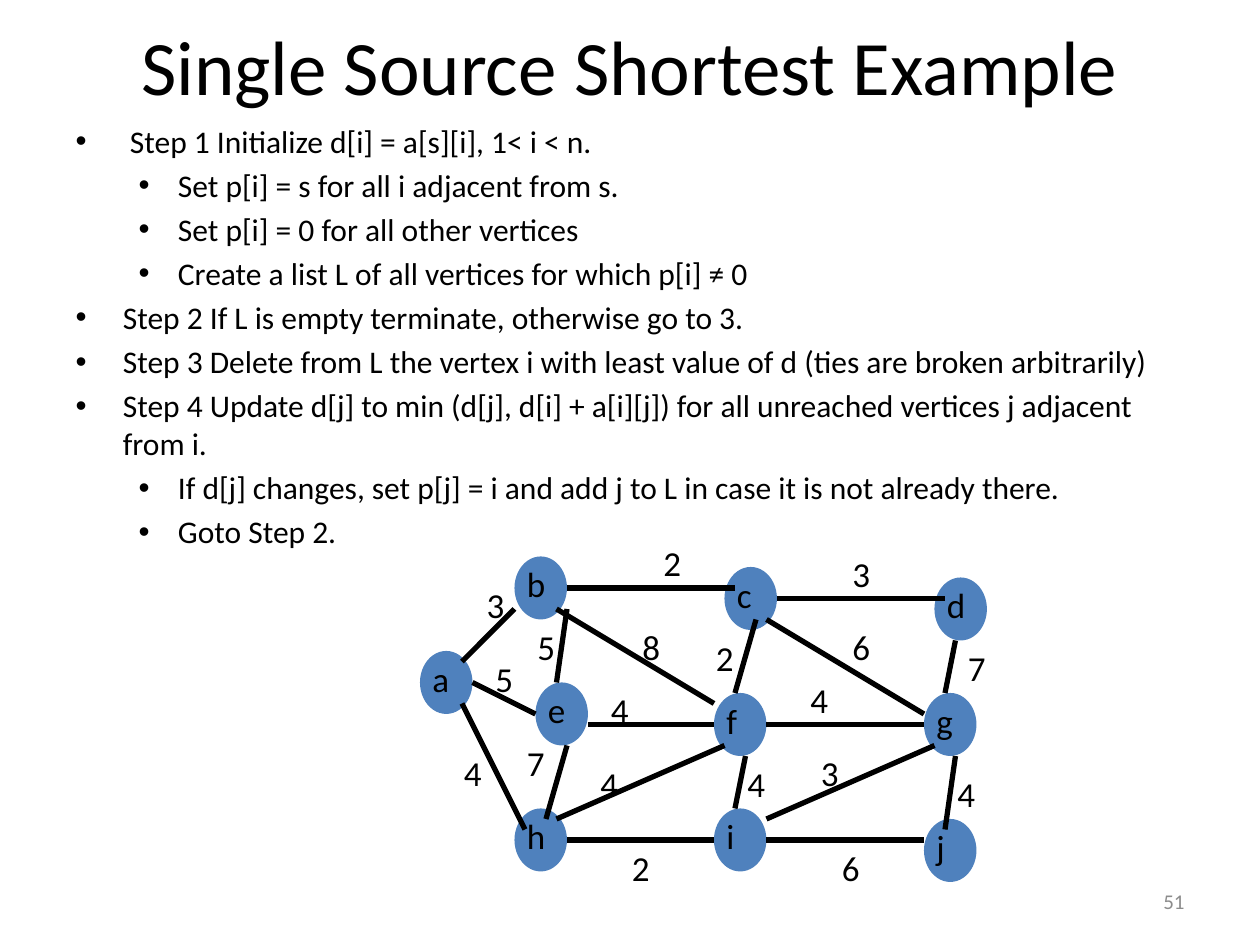
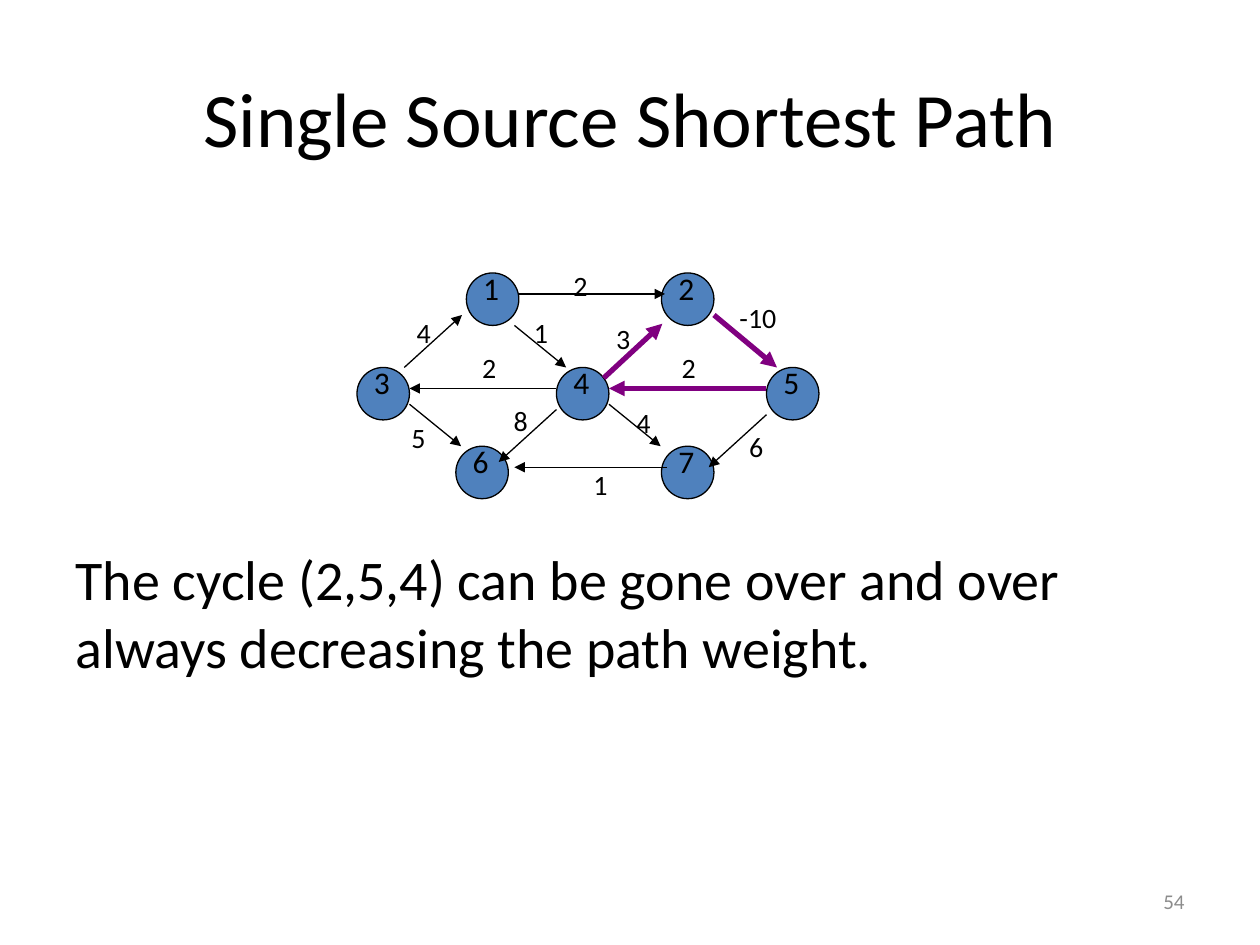
from dataclasses import dataclass
from typing import Any, NamedTuple

import pptx
import pptx.dml.color
import pptx.enum.shapes
import pptx.enum.text
import pptx.oxml
import pptx.oxml.ns
import pptx.util

Pt = pptx.util.Pt
RGB = pptx.dml.color.RGBColor


@dataclass(frozen=True)
class Theme:
    font: str = "Calibri"
    ink: RGB = RGB(0x00, 0x00, 0x00)
    node: RGB = RGB(0x4F, 0x81, 0xBD)
    cycle: RGB = RGB(0x80, 0x00, 0x80)
    page_number: RGB = RGB(0x8C, 0x8C, 0x8C)
    title_size: float = 44
    statement_size: float = 32
    step_size: float = 18
    page_number_size: float = 12
    thin: float = 0.75
    thick: float = 3


THEME = Theme()


class Frame(NamedTuple):
    left: float
    top: float
    width: float
    height: float


class Node(NamedTuple):
    name: str
    left: float
    top: float
    name_width: float


class Edge(NamedTuple):
    x1: float
    y1: float
    x2: float
    y2: float
    weight: str
    weight_left: float
    weight_top: float
    in_cycle: bool = False


class Step(NamedTuple):
    text: str
    level: int = 0


class StepIndent(NamedTuple):
    left: float
    hanging: float


@dataclass(frozen=True)
class GraphStyle:
    node_width: float
    node_height: float
    outlined: bool
    name_size: float
    name_dx: float
    name_dy: float
    name_height: float
    weight_size: float
    weight_width: float
    weight_height: float
    edge_width: float
    directed: bool


STEP_INDENTS = (StepIndent(27, 27), StepIndent(58.5, 22.5))
PAGE_NUMBER_FRAME = Frame(516, 500.5, 168, 28.75)

STEPS = (
    Step(" Step 1 Initialize d[i] = a[s][i], 1< i < n."),
    Step("Set p[i] = s for all i adjacent from s.", 1),
    Step("Set p[i] = 0 for all other vertices", 1),
    Step("Create a list L of all vertices for which p[i] ≠ 0", 1),
    Step("Step 2 If L is empty terminate, otherwise go to 3."),
    Step("Step 3 Delete from L the vertex i with least value of d (ties are broken arbitrarily)"),
    Step("Step 4 Update d[j] to min (d[j], d[i] + a[i][j]) for all unreached vertices j adjacent from i."),
    Step("If d[j] changes, set p[j] = i and add j to L in case it is not already there.", 1),
    Step("Goto Step 2.", 1),
)

UNDIRECTED = GraphStyle(
    node_width=30, node_height=36, outlined=False,
    name_size=20, name_dx=0, name_dy=0, name_height=31,
    weight_size=20, weight_width=24.5, weight_height=31,
    edge_width=THEME.thick, directed=False,
)
LETTER_NODES = (
    Node("a", 240, 372, 23),
    Node("b", 294, 318, 24.5),
    Node("h", 294, 462, 24.5),
    Node("c", 414, 324, 23),
    Node("e", 306, 390, 23),
    Node("d", 534, 330, 24.5),
    Node("g", 528, 396, 24.5),
    Node("j", 528, 468, 20),
    Node("f", 408, 396, 21),
    Node("i", 408, 462, 20),
)
LETTER_EDGES = (
    Edge(264, 378, 294, 348, "3", 271, 330),
    Edge(324, 336, 420, 336, "2", 372, 306),
    Edge(444, 342, 540, 342, "3", 480, 312),
    Edge(270, 390, 306, 408, "5", 276, 372),
    Edge(438, 414, 528, 414, "4", 456, 384),
    Edge(438, 480, 528, 480, "6", 474, 480),
    Edge(264, 402, 300, 474, "4", 258, 426),
    Edge(336, 414, 408, 414, "4", 342, 390),
    Edge(318, 468, 414, 426, "4", 336, 432),
    Edge(324, 426, 312, 468, "7", 294, 420),
    Edge(432, 354, 420, 396, "2", 402, 360),
    Edge(426, 432, 420, 462, "4", 420, 432),
    Edge(546, 366, 540, 396, "7", 546, 366),
    Edge(546, 432, 540, 474, "4", 540, 438),
    Edge(324, 348, 318, 390, "5", 300, 354),
    Edge(318, 348, 408, 402, "8", 360, 354),
    Edge(438, 354, 528, 408, "6", 480, 354),
    Edge(438, 468, 534, 426, "3", 462, 426),
    Edge(324, 480, 408, 480, "2", 354, 480),
)

DIRECTED = GraphStyle(
    node_width=30, node_height=30, outlined=True,
    name_size=18, name_dx=2.5, name_dy=-6, name_height=36,
    weight_size=16, weight_width=22.5, weight_height=26.5,
    edge_width=THEME.thin, directed=True,
)
NUMBER_NODES = (
    Node("6", 260.5, 255, 27),
    Node("3", 204, 210, 27),
    Node("1", 266.5, 156, 27),
    Node("5", 438, 210, 27),
    Node("2", 378, 156, 27),
    Node("7", 378, 255, 27),
    Node("4", 318, 210, 27),
)
NUMBER_EDGES = (
    Edge(294, 186, 323.5, 210, "1", 298, 176.5),
    Edge(296.5, 168, 380, 168, "2", 320.5, 150),
    Edge(381, 267, 294, 267, "1", 332, 263.5),
    Edge(408, 180, 444, 210, "-10", 415.5, 168, True),
    Edge(234, 231, 263.5, 255, "5", 228, 237),
    Edge(348, 231, 377.5, 255, "4", 356.5, 228),
    Edge(318, 234, 285, 264, "8", 286.5, 227),
    Edge(438, 237, 405, 267, "6", 421, 242),
    Edge(438, 222, 348, 222, "2", 382.5, 196.5, True),
    Edge(318, 222, 234, 222, "2", 268.5, 196.5),
    Edge(345, 216, 378.5, 185, "3", 345, 180, True),
    Edge(231, 210, 264, 180, "4", 231, 176.5),
)


def points(frame: Frame) -> list[pptx.util.Length]:
    return [Pt(length) for length in frame]


def add_span(para: Any, text: str, size: float, color: RGB = THEME.ink) -> None:
    span = para.add_run()
    span.text = text
    span.font.name = THEME.font
    span.font.size = Pt(size)
    span.font.color.rgb = color


def place(box: Any, frame: Frame) -> None:
    box.left, box.top, box.width, box.height = points(frame)
    box.text_frame.auto_size = pptx.enum.text.MSO_AUTO_SIZE.NONE


def add_label(shapes: Any, frame: Frame, text: str, size: float, color: RGB = THEME.ink) -> Any:
    box = shapes.add_textbox(*points(frame))
    box.text_frame.word_wrap = True
    add_span(box.text_frame.paragraphs[0], text, size, color)
    return box


def add_page(deck: Any, title: str, title_frame: Frame, body_frame: Frame, number: str) -> Any:
    page = deck.slides.add_slide(deck.slide_layouts[1])
    place(page.shapes.title, title_frame)
    title_para = page.shapes.title.text_frame.paragraphs[0]
    title_para.alignment = pptx.enum.text.PP_ALIGN.CENTER
    add_span(title_para, title, THEME.title_size)
    place(page.placeholders[1], body_frame)
    box = add_label(page.shapes, PAGE_NUMBER_FRAME, number, THEME.page_number_size, THEME.page_number)
    box.text_frame.vertical_anchor = pptx.enum.text.MSO_ANCHOR.MIDDLE
    box.text_frame.paragraphs[0].alignment = pptx.enum.text.PP_ALIGN.RIGHT
    return page


def set_bullet(para: Any, level: int) -> None:
    indent = STEP_INDENTS[level]
    para.level = level
    properties = para._p.get_or_add_pPr()
    properties.set("marL", str(Pt(indent.left)))
    properties.set("indent", str(-Pt(indent.hanging)))
    bullet = pptx.oxml.parse_xml(f'<a:buChar {pptx.oxml.ns.nsdecls("a")} char="•"/>')
    properties.append(bullet)


def write_steps(body: Any, steps: tuple[Step, ...]) -> None:
    text_frame = body.text_frame
    for index, step in enumerate(steps):
        para = text_frame.add_paragraph() if index else text_frame.paragraphs[0]
        set_bullet(para, step.level)
        add_span(para, step.text, THEME.step_size)


def write_statement(body: Any, text: str, top_margin: float) -> None:
    body.text_frame.margin_top = Pt(top_margin)
    para = body.text_frame.paragraphs[0]
    para.space_before = Pt(0)
    properties = para._p.get_or_add_pPr()
    properties.set("marL", "0")
    properties.set("indent", "0")
    properties.append(pptx.oxml.parse_xml(f'<a:buNone {pptx.oxml.ns.nsdecls("a")}/>'))
    add_span(para, text, THEME.statement_size)


def add_node(shapes: Any, node: Node, style: GraphStyle) -> None:
    frame = Frame(node.left, node.top, style.node_width, style.node_height)
    disc = shapes.add_shape(pptx.enum.shapes.MSO_SHAPE.OVAL, *points(frame))
    disc.shadow.inherit = False
    disc.fill.solid()
    disc.fill.fore_color.rgb = THEME.node
    if style.outlined:
        disc.line.color.rgb = THEME.ink
        disc.line.width = Pt(THEME.thin)
    else:
        disc.line.fill.background()
    name_frame = Frame(
        node.left + style.name_dx, node.top + style.name_dy, node.name_width, style.name_height
    )
    add_label(shapes, name_frame, node.name, style.name_size)


def add_edge(shapes: Any, edge: Edge, style: GraphStyle) -> None:
    ends = [Pt(length) for length in edge[:4]]
    line = shapes.add_connector(pptx.enum.shapes.MSO_CONNECTOR.STRAIGHT, *ends)
    line.line.color.rgb = THEME.cycle if edge.in_cycle else THEME.ink
    line.line.width = Pt(THEME.thick if edge.in_cycle else style.edge_width)
    namespace = pptx.oxml.ns.nsdecls("a")
    if style.directed:
        arrow = pptx.oxml.parse_xml(f'<a:tailEnd {namespace} type="triangle"/>')
        line.get_or_add_ln().append(arrow)
    line._element.spPr.append(pptx.oxml.parse_xml(f"<a:effectLst {namespace}/>"))


def add_weight(shapes: Any, edge: Edge, style: GraphStyle) -> None:
    width = style.weight_width + 6.75 * (len(edge.weight) - 1)
    frame = Frame(edge.weight_left, edge.weight_top, width, style.weight_height)
    add_label(shapes, frame, edge.weight, style.weight_size)


def add_graph(page: Any, nodes: tuple[Node, ...], edges: tuple[Edge, ...], style: GraphStyle) -> None:
    shapes = page.shapes.add_group_shape().shapes
    for node in nodes:
        add_node(shapes, node, style)
    for edge in edges:
        add_edge(shapes, edge, style)
    for edge in edges:
        add_weight(shapes, edge, style)


def main() -> None:
    deck = pptx.Presentation()
    deck.slide_width, deck.slide_height = Pt(720), Pt(540)

    example = add_page(
        deck, "Single Source Shortest Example", Frame(36, 3, 648, 68.5), Frame(36, 66, 648, 356.5), "51"
    )
    write_steps(example.placeholders[1], STEPS)
    add_graph(example, LETTER_NODES, LETTER_EDGES, UNDIRECTED)

    cycle = add_page(
        deck, "Single Source Shortest Path", Frame(36, 21.6, 648, 90), Frame(36, 126, 648, 356.5), "54"
    )
    statement = "The cycle (2,5,4) can be gone over and over always decreasing the path weight."
    write_statement(cycle.placeholders[1], statement, 185.4)
    add_graph(cycle, NUMBER_NODES, NUMBER_EDGES, DIRECTED)

    deck.save("out.pptx")


if __name__ == "__main__":
    main()
